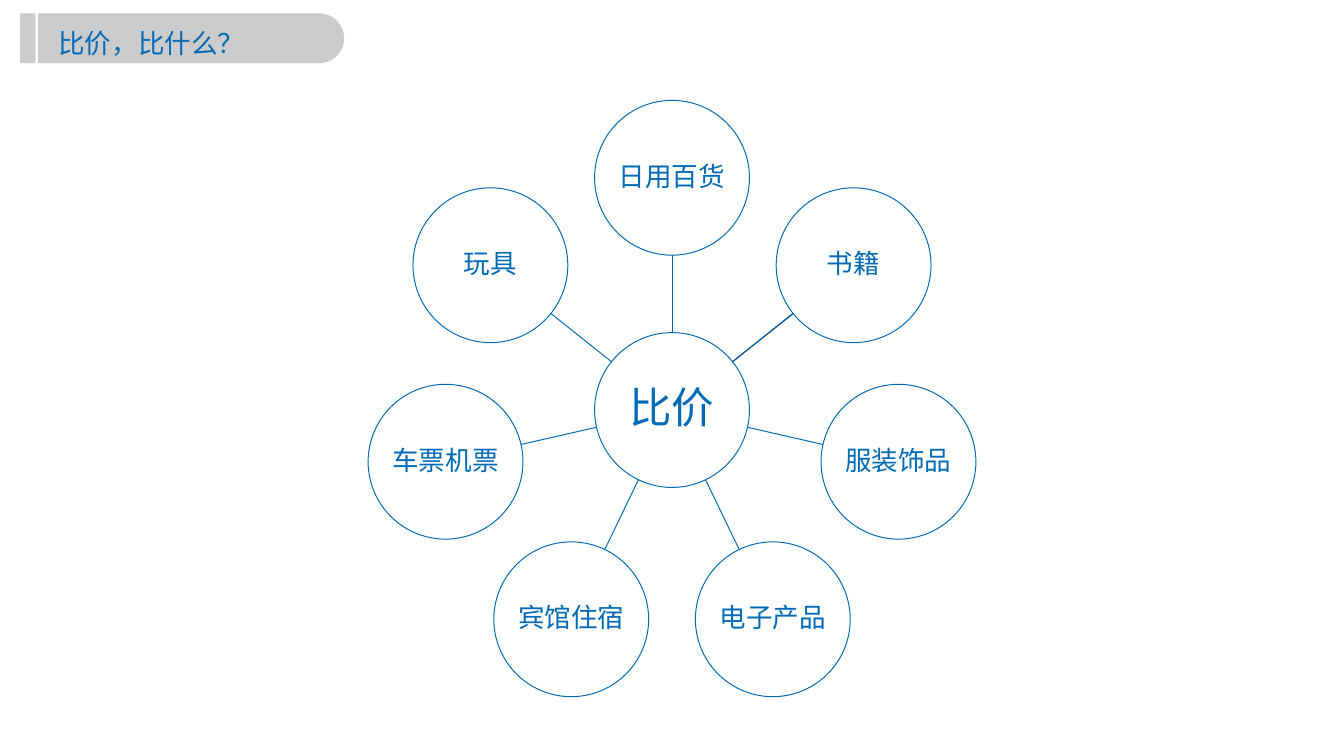
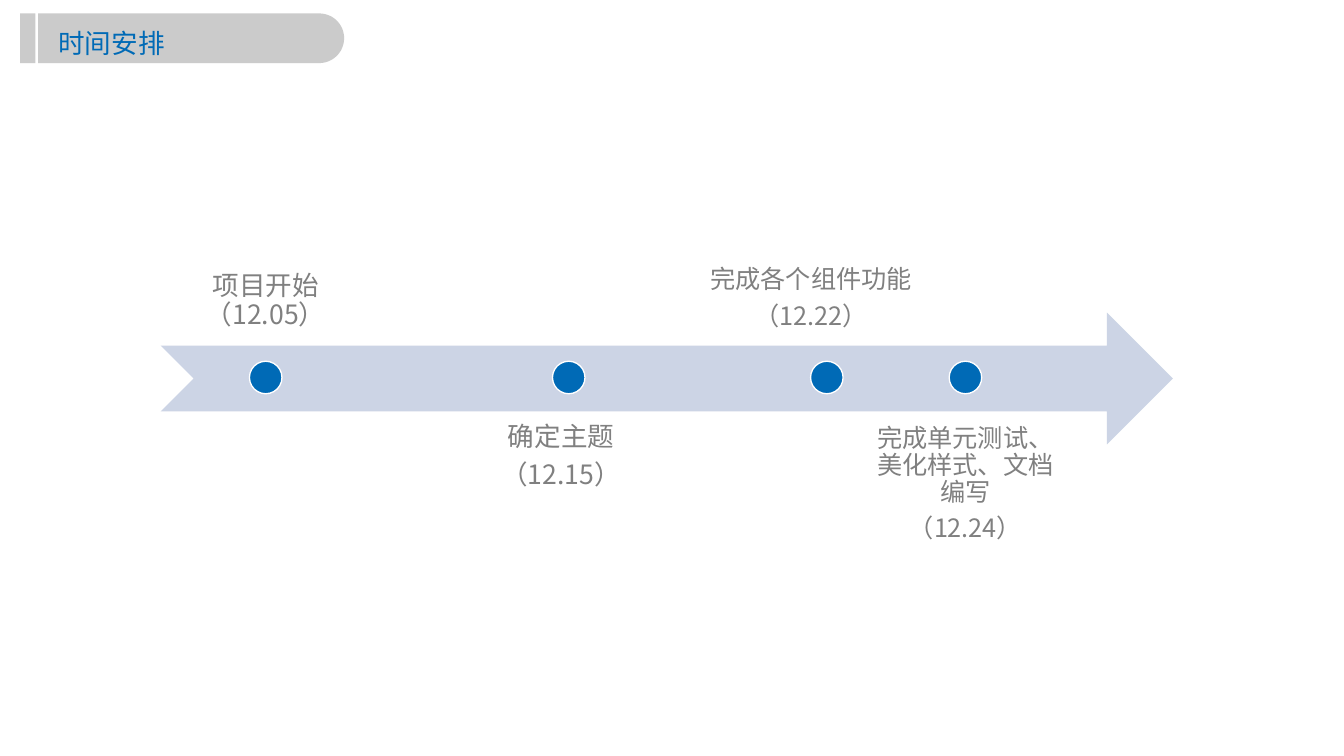
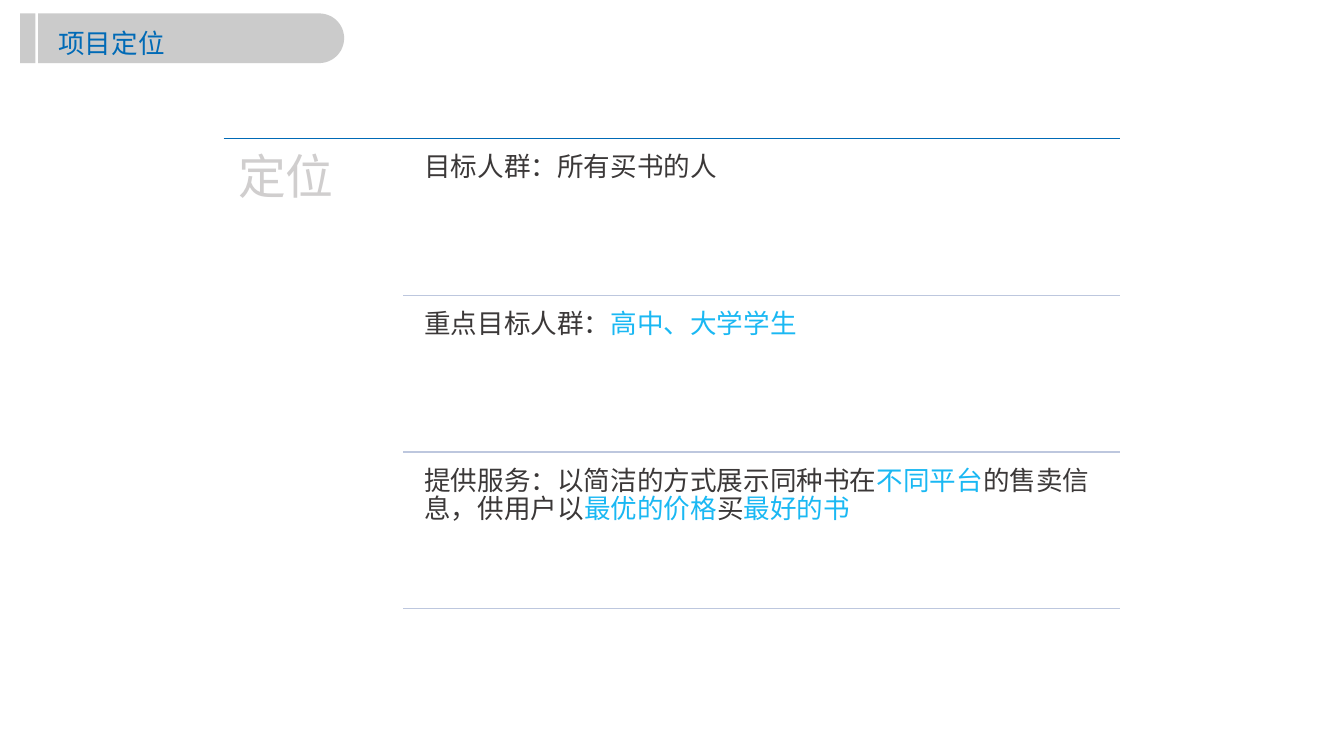
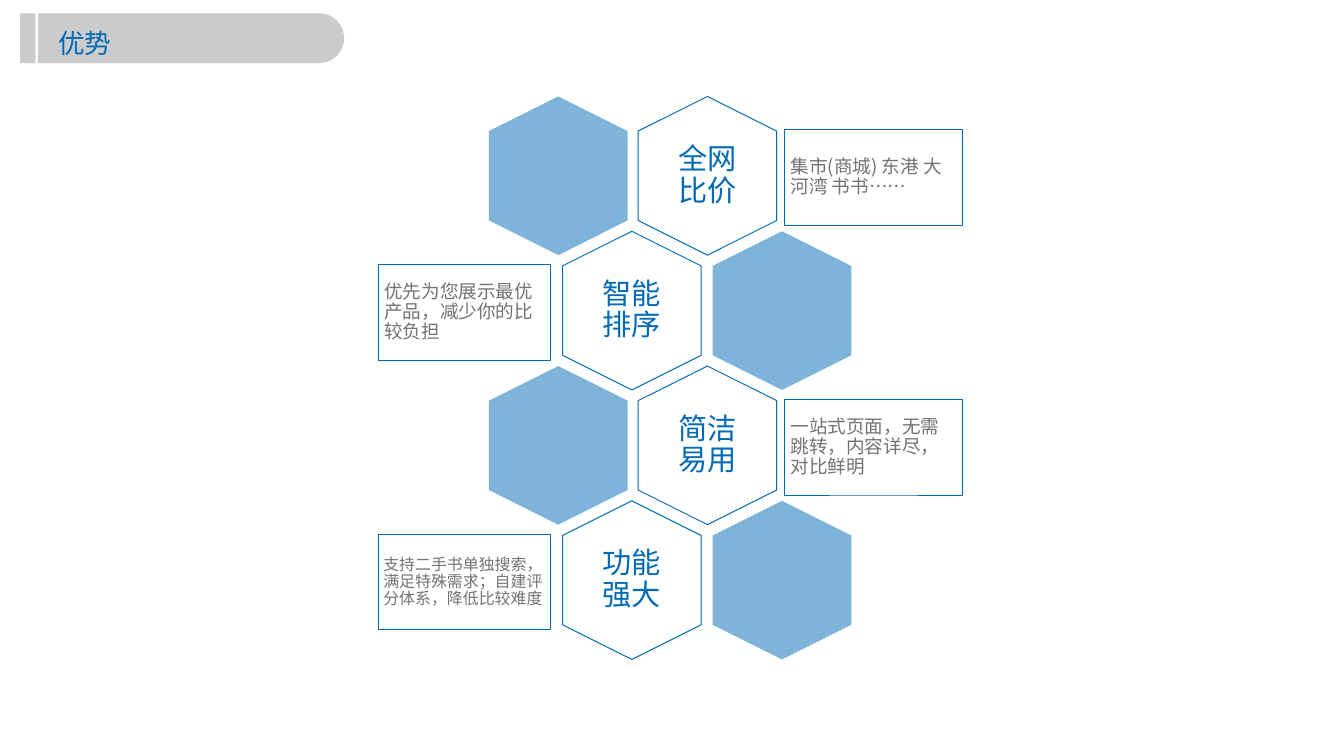
"""Build four slides presenting a price comparison project."""

from dataclasses import dataclass
from math import cos, pi, sin

from lxml.etree import SubElement
from pptx import Presentation
from pptx.dml.color import RGBColor
from pptx.enum.shapes import MSO_CONNECTOR, MSO_SHAPE
from pptx.enum.text import MSO_ANCHOR as Anchor, PP_ALIGN as Align
from pptx.oxml.ns import qn
from pptx.presentation import Presentation as Deck
from pptx.shapes.autoshape import Shape
from pptx.slide import Slide
from pptx.text.text import TextFrame
from pptx.util import Inches, Pt

BLUE = RGBColor(0x00, 0x6A, 0xB6)
DARK_BLUE = RGBColor(0x00, 0x55, 0x92)
SKY = RGBColor(0x1A, 0xB8, 0xF3)
ARROW_BLUE = RGBColor(0xCC, 0xD4, 0xE5)
RULE_BLUE = RGBColor(0xBD, 0xC7, 0xDE)
BAND_GRAY = RGBColor(0xBF, 0xBF, 0xBF)
LABEL_GRAY = RGBColor(0x80, 0x80, 0x80)
NOTE_GRAY = RGBColor(0x76, 0x71, 0x71)
HEADING_GRAY = RGBColor(0xD0, 0xCE, 0xCE)
INK = RGBColor(0x3B, 0x38, 0x38)
WHITE = RGBColor(0xFF, 0xFF, 0xFF)
TITLE_FONT = "Arial"
FONT = "Noto Sans CJK SC"


@dataclass(frozen=True)
class Box:
    """A rectangle in inches."""

    x: float
    y: float
    w: float
    h: float

    @classmethod
    def around(cls, cx: float, cy: float, w: float, h: float) -> "Box":
        """Return the box centred on a point."""
        return cls(cx - w / 2, cy - h / 2, w, h)

    def emu(self) -> tuple[int, int, int, int]:
        """Return left, top, width and height as lengths."""
        return Inches(self.x), Inches(self.y), Inches(self.w), Inches(self.h)


@dataclass(frozen=True)
class Style:
    """How a block of text looks."""

    size: float
    color: RGBColor
    inset: float
    align: Align = Align.LEFT
    anchor: Anchor = Anchor.TOP
    font: str = FONT
    spacing: float = 0.9


@dataclass(frozen=True)
class Run:
    """A piece of text, highlighted or plain."""

    text: str
    accent: bool = False


@dataclass(frozen=True)
class Milestone:
    """A dot on the timeline and its label."""

    dot_x: float
    label: Box
    lines: tuple[str, ...]
    size: float
    above: bool


@dataclass(frozen=True)
class Advantage:
    """A hexagon heading with its explanation."""

    name: str
    note: str
    size: float = 14


def write(tf: TextFrame, lines: list[list[Run]], style: Style) -> None:
    """Fill a text frame with one paragraph per line."""
    tf.word_wrap = True
    tf.vertical_anchor = style.anchor
    tf.margin_left = tf.margin_right = Inches(style.inset)
    tf.margin_top = tf.margin_bottom = Inches(min(style.inset, 0.16))
    for i, line in enumerate(lines):
        p = tf.add_paragraph() if i else tf.paragraphs[0]
        p.alignment = style.align
        p.line_spacing = style.spacing
        p.space_before = Pt(0)
        p.space_after = Pt(style.size * 0.35)
        p.font.size = Pt(style.size)
        p.font.name = style.font
        p.font.color.rgb = style.color
        SubElement(p.font._element, qn("a:ea"), typeface=FONT)
        for run in line:
            r = p.add_run()
            r.text = run.text
            if run.accent:
                r.font.color.rgb = SKY


def add_text(s: Slide, box: Box, lines: list[list[Run]], style: Style) -> None:
    """Add a text box."""
    write(s.shapes.add_textbox(*box.emu()).text_frame, lines, style)


def add_shape(s: Slide, kind: MSO_SHAPE, box: Box, fill: RGBColor | None = None,
              line: RGBColor | None = None, width: float = 0.75,
              opacity: int = 100) -> Shape:
    """Add a flat shape with an optional fill and outline."""
    sp = s.shapes.add_shape(kind, *box.emu())
    sp.shadow.inherit = False
    if fill is None:
        sp.fill.background()
    else:
        sp.fill.solid()
        sp.fill.fore_color.rgb = fill
        if opacity < 100:
            color = sp.element.spPr.find(f"{qn('a:solidFill')}/{qn('a:srgbClr')}")
            SubElement(color, qn("a:alpha"), val=str(opacity * 1000))
    if line is None:
        sp.line.fill.background()
    else:
        sp.line.color.rgb = line
        sp.line.width = Pt(width)
    return sp


def add_line(s: Slide, start: tuple[float, float], end: tuple[float, float],
             color: RGBColor, width: float) -> None:
    """Add a straight line without shadow."""
    points = [Inches(v) for v in (*start, *end)]
    line = s.shapes.add_connector(MSO_CONNECTOR.STRAIGHT, *points)
    line.line.color.rgb = color
    line.line.width = Pt(width)
    SubElement(line.element.spPr, qn("a:effectLst"))


def add_slide(prs: Deck, title: str) -> Slide:
    """Add a slide with the gray band and its title."""
    s = prs.slides.add_slide(prs.slide_layouts[5])
    band = add_shape(s, MSO_SHAPE.ROUND_2_SAME_RECTANGLE,
                     Box.around(2, 0.4, 0.52, 3.2), BAND_GRAY, opacity=80)
    band.rotation = 90
    band.adjustments[0] = 0.5
    add_shape(s, MSO_SHAPE.RECTANGLE, Box(0.21, 0.14, 0.16, 0.52), BAND_GRAY, opacity=80)
    sp = s.shapes.title
    sp.left, sp.top, sp.width, sp.height = Box(0.54, 0.18, 3.11, 0.44).emu()
    write(sp.text_frame, [[Run(title)]],
          Style(20, BLUE, 0.07, font=TITLE_FONT, spacing=1.2))
    sp.text_frame.margin_top = sp.text_frame.margin_bottom = Inches(0.04)
    sp.element.getparent().append(sp.element)
    return s


def add_circle(s: Slide, cx: float, cy: float, text: str, size: float) -> None:
    """Add an outlined circle with a centred word."""
    sp = add_shape(s, MSO_SHAPE.OVAL, Box.around(cx, cy, 1.62, 1.62), line=BLUE)
    write(sp.text_frame, [[Run(text)]],
          Style(size, BLUE, 0.01, Align.CENTER, Anchor.MIDDLE))


def build_categories(prs: Deck) -> None:
    """Build the wheel of compared categories."""
    s = add_slide(prs, "比价，比什么？")
    cx, cy, radius = 7.03, 4.29, 0.81
    names = ["日用百货", "书籍", "服装饰品", "电子产品", "宾馆住宿", "车票机票", "玩具"]
    add_circle(s, cx, cy, "比价", 32)
    for i, name in enumerate(names):
        angle = 2 * pi * i / len(names)
        hub, rim, center = [(cx + k * radius * sin(angle), cy - k * radius * cos(angle))
                            for k in (1, 2, 3)]
        color, width = (DARK_BLUE, 1) if name == "书籍" else (BLUE, 0.75)
        add_line(s, hub, rim, color, width)
        add_circle(s, *center, name, 20)


def build_timeline(prs: Deck) -> None:
    """Build the arrow with its milestones."""
    s = add_slide(prs, "时间安排")
    add_shape(s, MSO_SHAPE.NOTCHED_RIGHT_ARROW, Box(1.68, 3.27, 10.59, 1.38), ARROW_BLUE)
    milestones = [
        Milestone(2.78, Box(1.68, 2.23, 2.2, 1.38), ("项目开始（12.05）",), 20, True),
        Milestone(5.95, Box(4.77, 4.27, 2.2, 1.38), ("确定主题", "（12.15）"), 20, False),
        Milestone(8.65, Box(7.19, 2.23, 2.59, 1.38),
                  ("完成各个组件功能", "（12.22）"), 19, True),
        Milestone(10.1, Box(9, 4.3, 2.2, 1.38),
                  ("完成单元测试、美化样式、文档编写", "（12.24）"), 19, False),
    ]
    for m in milestones:
        anchor = Anchor.BOTTOM if m.above else Anchor.TOP
        add_text(s, m.label, [[Run(line)] for line in m.lines],
                 Style(m.size, LABEL_GRAY, m.size * 0.008, Align.CENTER, anchor))
        add_shape(s, MSO_SHAPE.OVAL, Box.around(m.dot_x, 3.95, 0.34, 0.34),
                  BLUE, WHITE, 1)


def build_positioning(prs: Deck) -> None:
    """Build the ruled list of positioning statements."""
    s = add_slide(prs, "项目定位")
    top, pitch, right = 1.45, 1.64, 11.72
    add_line(s, (2.34, top), (right, top), BLUE, 1)
    add_text(s, Box(2.34, top, 1.88, 5.01), [[Run("定位")]], Style(36, HEADING_GRAY, 0.15))
    statements = [
        [Run("目标人群：所有买书的人")],
        [Run("重点目标人群："), Run("高中、大学学生", True)],
        [Run("提供服务：以简洁的方式展示同种书在"), Run("不同平台", True),
         Run("的售卖信息，供用户以"), Run("最优的价格", True),
         Run("买"), Run("最好的书", True)],
    ]
    for i, statement in enumerate(statements):
        y = top + i * pitch
        add_text(s, Box(4.36, y + 0.08, 7.36, 1.57), [statement], Style(20, INK, 0.08))
        add_line(s, (4.22, y + pitch), (right, y + pitch), RULE_BLUE, 1)


def add_hexagon(s: Slide, cx: float, cy: float, filled: bool) -> None:
    """Add an upright hexagon, tinted or outlined."""
    look = {"fill": BLUE, "opacity": 50} if filled else {"line": BLUE}
    sp = add_shape(s, MSO_SHAPE.HEXAGON, Box.around(cx, cy, 1.66, 1.45), **look)
    sp.rotation = 90


def build_advantages(prs: Deck) -> None:
    """Build the honeycomb of advantages."""
    s = add_slide(prs, "优势")
    advantages = [
        Advantage("全网比价", "集市(商城) 东港 大河湾 书书……"),
        Advantage("智能排序", "优先为您展示最优产品，减少你的比较负担"),
        Advantage("简洁易用", "一站式页面，无需跳转，内容详尽，对比鲜明"),
        Advantage("功能强大", "支持二手书单独搜索，满足特殊需求；自建评分体系，降低比较难度", 12),
    ]
    for i, item in enumerate(advantages):
        cy = 1.84 + i * 1.41
        cx, tint_x, note_x, note_w = ((6.61, 8.18, 3.96, 1.8) if i % 2
                                      else (7.4, 5.84, 8.21, 1.86))
        add_hexagon(s, cx, cy, False)
        add_text(s, Box.around(cx, cy, 1, 1.15), [[Run(item.name)]],
                 Style(22, BLUE, 0.09, Align.CENTER, Anchor.MIDDLE))
        note = add_shape(s, MSO_SHAPE.RECTANGLE, Box(note_x, cy - 0.48, note_w, 1), line=BLUE)
        write(note.text_frame, [[Run(item.note)]],
              Style(item.size, NOTE_GRAY, 0.05 if item.size < 14 else 0.06,
                    anchor=Anchor.MIDDLE))
        add_hexagon(s, tint_x, cy, True)


def main() -> None:
    """Build and save the presentation."""
    prs = Presentation()
    prs.slide_width, prs.slide_height = Inches(14.06), Inches(7.91)
    for build in (build_categories, build_timeline, build_positioning, build_advantages):
        build(prs)
    prs.save("out.pptx")


if __name__ == "__main__":
    main()
